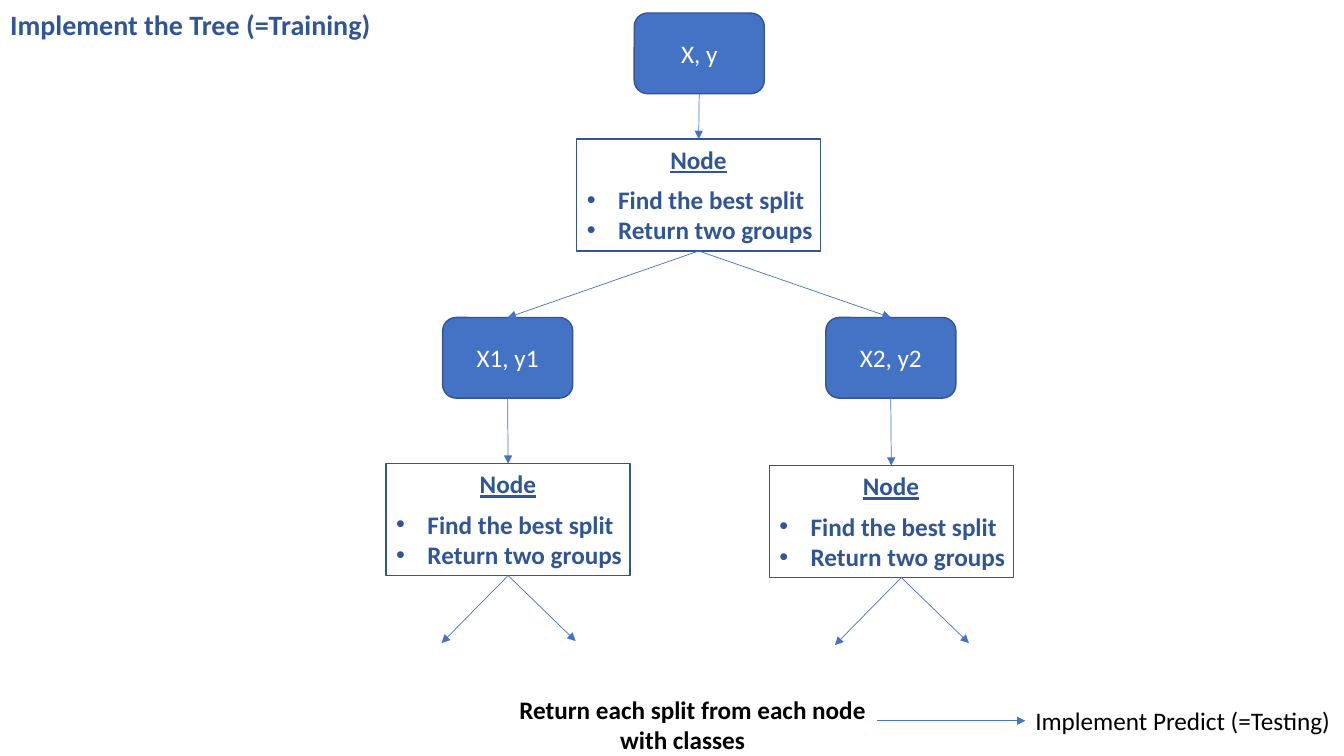
from dataclasses import dataclass
from typing import Optional

from lxml import etree
from pptx import Presentation
from pptx import util as u
from pptx.dml.color import RGBColor
from pptx.enum import shapes, text
from pptx.oxml.ns import qn
from pptx.shapes.autoshape import Shape
from pptx.slide import Slide

BLUE = RGBColor(0x44, 0x72, 0xC4)
OUTLINE = RGBColor(0x32, 0x54, 0x91)
DARK_BLUE = RGBColor(0x2F, 0x55, 0x97)
WHITE = RGBColor(0xFF, 0xFF, 0xFF)
BLACK = RGBColor(0, 0, 0)

TOP, BOTTOM = 0, 2
NODE_W, NODE_H = 2.42, 1.11
STEPS = "Find the best split\nReturn two groups"


@dataclass(frozen=True)
class Stage:
    data: str
    data_left: float
    data_top: float
    node_left: float
    node_top: float
    list_idx: int


@dataclass(frozen=True)
class Anchor:
    x: float
    y: float
    shape: Optional[Shape] = None
    site: int = TOP


STAGES = [
    Stage("X, y", 6.29, 0.13, 5.72, 1.38, 2),
    Stage("X1, y1", 4.39, 3.15, 3.83, 4.6, 4),
    Stage("X2, y2", 8.19, 3.15, 7.63, 4.62, 3),
]


def write(sp: Shape, content: str, color: RGBColor, size: float = 18,
          bold: bool = False, underline: bool = False,
          align: text.PP_ALIGN = text.PP_ALIGN.LEFT,
          anchor: text.MSO_ANCHOR = text.MSO_ANCHOR.TOP) -> None:
    tf = sp.text_frame
    tf.text = content
    tf.auto_size = text.MSO_AUTO_SIZE.NONE
    tf.word_wrap = False
    tf.vertical_anchor = anchor
    tf.margin_left = tf.margin_right = u.Inches(0.1)
    tf.margin_top = tf.margin_bottom = u.Inches(0.05)
    for p in tf.paragraphs:
        p.alignment = align
        p.space_before = u.Pt(0)
        for r in p.runs:
            r.font.name = "Calibri"
            r.font.size = u.Pt(size)
            r.font.bold = bold
            r.font.underline = underline
            r.font.color.rgb = color


def place(sp: Shape, left: float, top: float, width: float, height: float) -> Shape:
    sp.left, sp.top = u.Inches(left), u.Inches(top)
    sp.width, sp.height = u.Inches(width), u.Inches(height)
    return sp


def add_label(s: Slide, left: float, top: float, width: float, height: float) -> Shape:
    return s.shapes.add_textbox(u.Inches(left), u.Inches(top),
                                u.Inches(width), u.Inches(height))


def add_box(s: Slide, kind: shapes.MSO_SHAPE, left: float, top: float,
            width: float, height: float, fill: Optional[RGBColor] = None) -> Shape:
    sp = s.shapes.add_shape(kind, u.Inches(left), u.Inches(top),
                            u.Inches(width), u.Inches(height))
    sp.shadow.inherit = False
    if fill is None:
        sp.fill.background()
    else:
        sp.fill.solid()
        sp.fill.fore_color.rgb = fill
    sp.line.color.rgb = OUTLINE
    sp.line.width = u.Pt(1)
    return sp


def add_arrow(s: Slide, start: Anchor, end: Anchor) -> None:
    line = s.shapes.add_connector(shapes.MSO_CONNECTOR.STRAIGHT,
                                  u.Inches(start.x), u.Inches(start.y),
                                  u.Inches(end.x), u.Inches(end.y))
    if start.shape is not None:
        line.begin_connect(start.shape, start.site)
    if end.shape is not None:
        line.end_connect(end.shape, end.site)
    line.line.color.rgb = BLUE
    line.line.width = u.Pt(0.5)
    etree.SubElement(line.line._get_or_add_ln(), qn("a:tailEnd"), type="triangle")
    etree.SubElement(line._element.spPr, qn("a:effectLst"))


def side(sp: Shape, site: int) -> Anchor:
    y = sp.top if site == TOP else sp.top + sp.height
    return Anchor((sp.left + sp.width / 2) / u.Inches(1), y / u.Inches(1), sp, site)


def add_bullets(sp: Shape) -> None:
    for p in sp.text_frame.paragraphs:
        pPr = p._p.get_or_add_pPr()
        pPr.set("marL", str(u.Inches(0.31)))
        pPr.set("indent", str(-u.Inches(0.31)))
        etree.SubElement(pPr, qn("a:buFont"), typeface="Arial")
        etree.SubElement(pPr, qn("a:buChar"), char="•")


def add_stage(s: Slide, stage: Stage) -> tuple[Shape, Shape]:
    left, top = stage.node_left, stage.node_top
    steps = place(s.placeholders[stage.list_idx], left, top + 0.4, 2.46, 0.71)
    write(steps, STEPS, DARK_BLUE, bold=True)
    add_bullets(steps)
    heading = add_label(s, left + 0.83, top, 0.76, 0.4)
    write(heading, "Node", DARK_BLUE, bold=True, underline=True)
    node = add_box(s, shapes.MSO_SHAPE.RECTANGLE, left, top, NODE_W, NODE_H)
    data = add_box(s, shapes.MSO_SHAPE.ROUNDED_RECTANGLE,
                   stage.data_left, stage.data_top, 1.29, 0.8, BLUE)
    write(data, stage.data, WHITE, align=text.PP_ALIGN.CENTER,
          anchor=text.MSO_ANCHOR.MIDDLE)
    add_arrow(s, side(data, BOTTOM), side(node, TOP))
    return data, node


def main() -> None:
    prs = Presentation()
    prs.slide_width, prs.slide_height = u.Inches(13.33), u.Inches(7.5)
    s = prs.slides.add_slide(prs.slide_layouts[4])

    title = place(s.shapes.title, 0, 0.02, 3.81, 0.44)
    write(title, "Implement the Tree (=Training)", DARK_BLUE, size=20, bold=True)

    (_, root), (left_data, left_node), (right_data, right_node) = [
        add_stage(s, stage) for stage in STAGES]
    for data in (left_data, right_data):
        add_arrow(s, side(root, BOTTOM), side(data, TOP))

    right_fork = Anchor(8.94, side(right_node, BOTTOM).y)
    for fork in (side(left_node, BOTTOM), right_fork):
        for dx, dy in ((-0.66, 0.67), (0.67, 0.65)):
            add_arrow(s, fork, Anchor(fork.x + dx, fork.y + dy))

    result = place(s.placeholders[1], 5.05, 6.84, 3.67, 0.71)
    write(result, "Return each split from each node\nwith classes", BLACK, bold=True)
    result.text_frame.paragraphs[1]._p.get_or_add_pPr().set("marL", str(u.Inches(1)))

    add_arrow(s, Anchor(8.7, 7.15), Anchor(10.17, 7.15))
    predict = add_label(s, 10.17, 6.95, 3.16, 0.4)
    write(predict, "Implement Predict (=Testing)", BLACK)

    prs.save("out.pptx")


if __name__ == "__main__":
    main()
